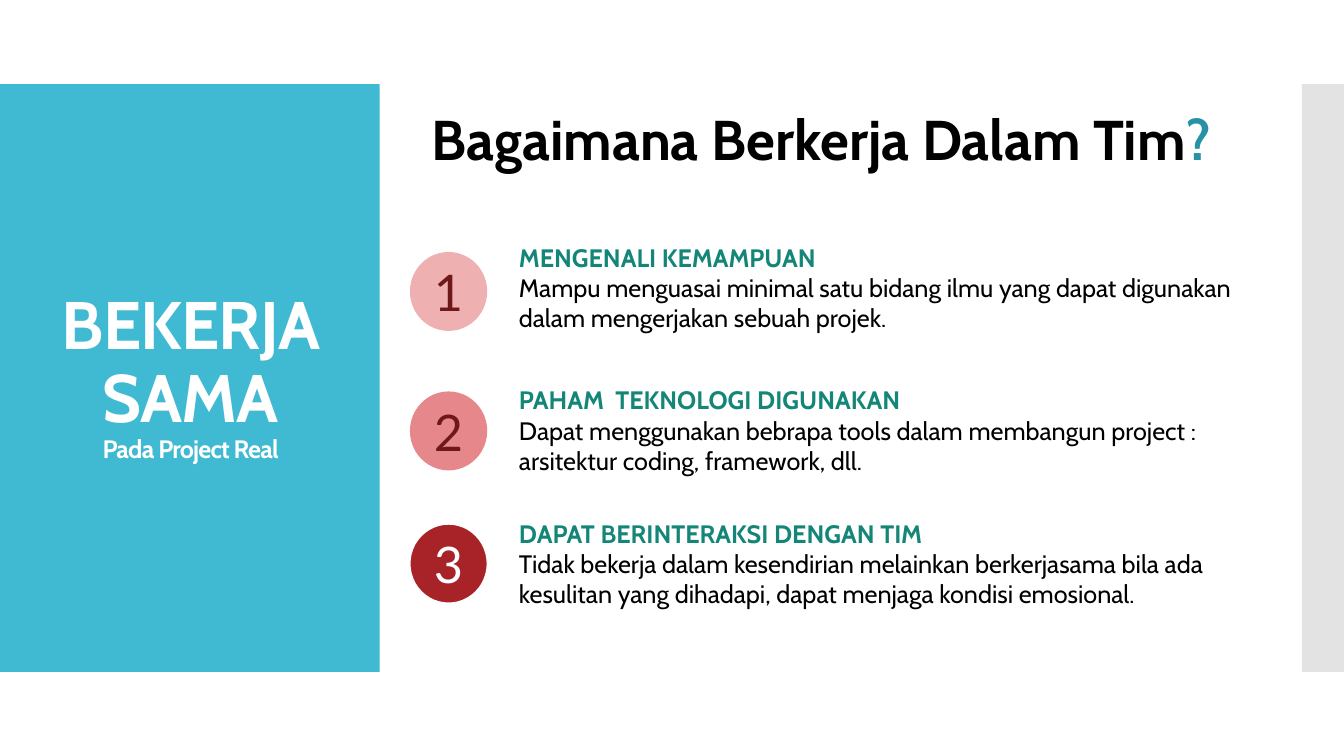
from pptx import Presentation
from pptx.dml.color import RGBColor
from pptx.enum.shapes import MSO_SHAPE
from pptx.enum.text import MSO_ANCHOR, MSO_AUTO_SIZE, PP_ALIGN
from pptx.oxml.ns import qn
from pptx.util import Inches, Pt
from lxml import etree

RECTANGLE, OVAL = MSO_SHAPE.RECTANGLE, MSO_SHAPE.OVAL
TOP, MIDDLE = MSO_ANCHOR.TOP, MSO_ANCHOR.MIDDLE
LEFT, CENTER = PP_ALIGN.LEFT, PP_ALIGN.CENTER
FIT_SHAPE = MSO_AUTO_SIZE.SHAPE_TO_FIT_TEXT

WIDTH, HEIGHT = Inches(13.33), Inches(7.5)
COLUMNS, ROWS = 16, 9

COLORS = {
    "panel": "40BAD2",
    "strip": "C8C8C8",
    "white": "FFFFFF",
    "black": "000000",
    "question": "2791A6",
    "heading": "138677",
    "pale": "EEB0B1",
    "rose": "E6888B",
    "red": "A72327",
    "maroon": "6F181A",
}

STEPS = [
    (2.82, 3.0, "pale", "maroon", "MENGENALI KEMAMPUAN",
     "Mampu menguasai minimal satu bidang ilmu yang dapat digunakan "
     "dalam mengerjakan sebuah projek."),
    (4.52, 4.66, "rose", "maroon", "PAHAM  TEKNOLOGI DIGUNAKAN",
     "Dapat menggunakan bebrapa tools dalam membangun project : "
     "arsitektur coding, framework, dll."),
    (6.11, 6.24, "red", "white", "DAPAT BERINTERAKSI DENGAN TIM",
     "Tidak bekerja dalam kesendirian melainkan berkerjasama bila ada "
     "kesulitan yang dihadapi, dapat menjaga kondisi emosional."),
]


class SlideBuilder:
    font = "Cabin"
    number_font = "Lato"

    def __init__(self, page):
        self.page = page

    def place(self, column, row, columns, rows):
        return (round(column * WIDTH / COLUMNS), round(row * HEIGHT / ROWS),
                round(columns * WIDTH / COLUMNS), round(rows * HEIGHT / ROWS))

    def shape(self, kind, area, color, opacity=None):
        shape = self.page.shapes.add_shape(kind, *self.place(*area))
        shape.shadow.inherit = False
        shape.fill.solid()
        shape.fill.fore_color.rgb = RGBColor.from_string(COLORS[color])
        shape.line.fill.background()
        if opacity is not None:
            tint = shape.fill._xPr.find(".//" + qn("a:srgbClr"))
            etree.SubElement(tint, qn("a:alpha")).set("val", str(opacity * 1000))
        return shape

    def span(self, para, text, size, color, bold=False, font=None, spacing=None):
        span = para.add_run()
        span.text = text
        span.font.size = Pt(size)
        span.font.name = font or self.font
        span.font.bold = bold
        span.font.color.rgb = RGBColor.from_string(COLORS[color])
        if spacing is not None:
            span.font._element.set("spc", str(round(spacing * 100)))

    def text(self, area, anchor=TOP, wrap=True):
        box = self.page.shapes.add_textbox(*self.place(*area))
        frame = box.text_frame
        frame.word_wrap = wrap
        frame.vertical_anchor = anchor
        if anchor == TOP:
            frame.auto_size = FIT_SHAPE
        frame.paragraphs[0].alignment = LEFT
        return frame

    def badge(self, row, number, fill, color):
        badge = self.shape(OVAL, (4.88, row, 0.92, 0.94), fill)
        if color == "white":
            badge.line.color.rgb = RGBColor.from_string(COLORS["white"])
            badge.line.width = Pt(0.85)
        frame = badge.text_frame
        frame.margin_left = frame.margin_right = 0
        frame.margin_top = frame.margin_bottom = 0
        frame.vertical_anchor = MIDDLE
        para = frame.paragraphs[0]
        para.alignment = CENTER
        self.span(para, str(number), 36, color, font=self.number_font)

    def step(self, row, heading, body):
        frame = self.text((6.06, row, 9.18, 1.21))
        self.span(frame.paragraphs[0], heading, 18, "heading", bold=True)
        self.span(frame.add_paragraph(), body, 18, "black")


def main():
    deck = Presentation()
    deck.slide_width, deck.slide_height = WIDTH, HEIGHT
    builder = SlideBuilder(deck.slides.add_slide(deck.slide_layouts[6]))

    builder.shape(RECTANGLE, (0, 1, 4.52, 7), "panel")
    builder.shape(RECTANGLE, (15.5, 1, 0.5, 7), "strip", opacity=50)

    title = builder.text((0.34, 1.48, 3.86, 6.04), MIDDLE).paragraphs[0]
    title.alignment = CENTER
    title.line_spacing = 0.9
    builder.span(title, "BEKERJA SAMA", 48, "white", bold=True, spacing=-0.6)
    title.add_line_break()
    builder.span(title, "Pada Project Real", 18, "white", bold=True, spacing=-0.6)

    question = builder.text((5.02, 1.19, 9.67, 0.92), wrap=False).paragraphs[0]
    builder.span(question, "Bagaimana Berkerja Dalam Tim", 40, "black", bold=True)
    builder.span(question, "?", 40, "question", bold=True)

    for number, (text_row, badge_row, fill, color, heading, body) in enumerate(STEPS, 1):
        builder.step(text_row, heading, body)
        builder.badge(badge_row, number, fill, color)

    deck.save("out.pptx")


if __name__ == "__main__":
    main()
